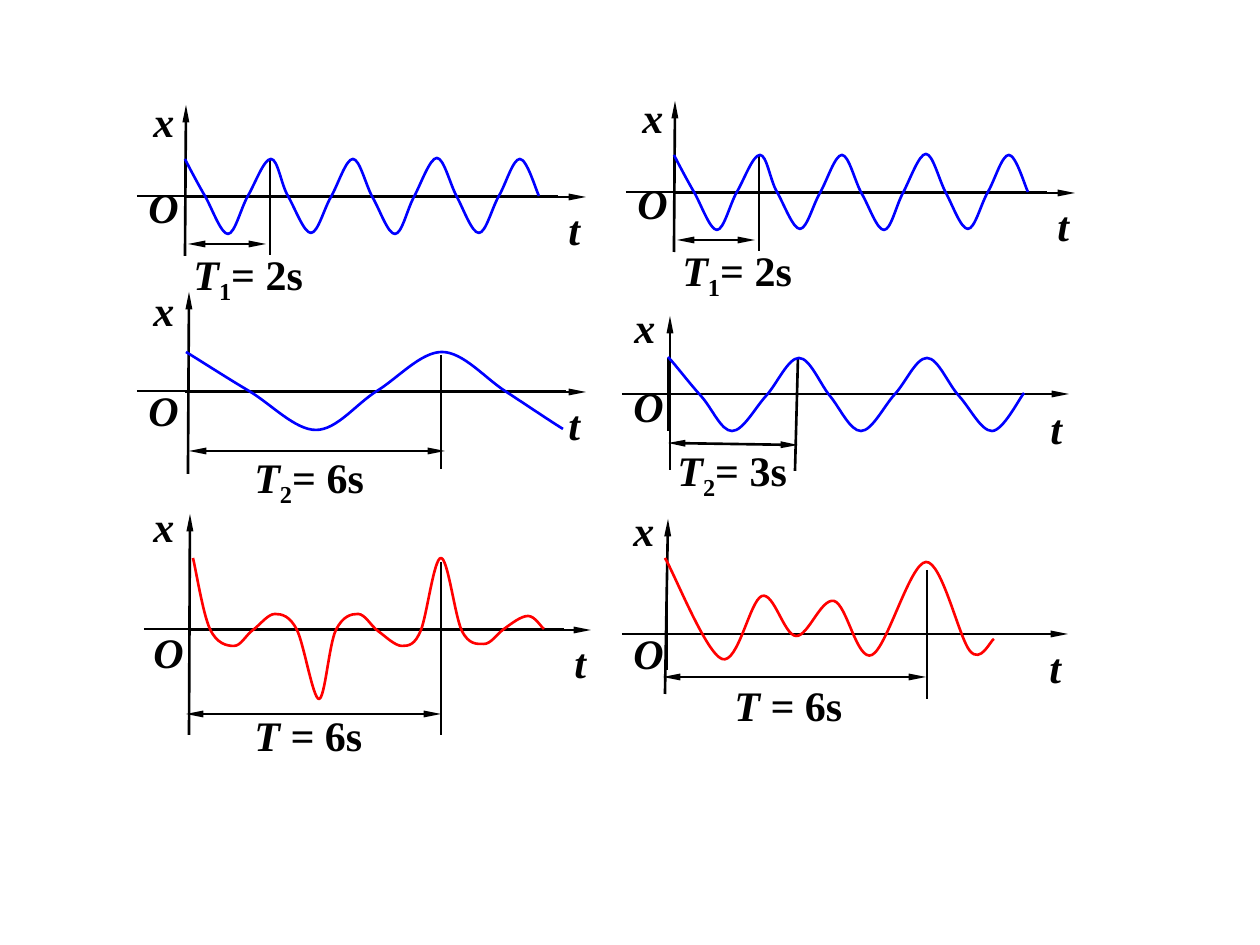
from dataclasses import dataclass
from itertools import chain
from lxml.etree import SubElement
from pptx import Presentation
from pptx.dml.color import RGBColor
from pptx.enum.shapes import MSO_CONNECTOR
from pptx.enum.text import MSO_AUTO_SIZE
from pptx.oxml.ns import qn
from pptx.util import Pt


@dataclass(frozen=True)
class Theme:
    ink: str = "000000"
    wave: str = "0000FF"
    total: str = "FF0000"
    font: str = "Times New Roman"
    size: int = 24
    thick: float = 1.5
    thin: float = 0.75


THEME = Theme()
EMU = 914400 / 126
SLIDE_W, SLIDE_H = 1260, 945
AXIS, LABEL_H = 401, 63
X_W, O_W, T_W, CAPTION_W = 47, 55, 37, 137

FAST = dict(
    color=THEME.wave, period=("T", "1", "= 2s"), y_axis=((0, 59), (1, -92)),
    x=(-44, -108), o=(-49, -22), t=(371, 0), thin=(-48, 373, -1), start=(-38, 36),
    marker=((85, -38), (85, 58)), span=((3, 47), (81, 47)), caption=(-4, 45),
    curve=[(0, -38), (20, -1), (43, 37), (63, -1), (86, -38), (103, -1),
           (126, 36), (146, 0), (168, -38), (188, 1), (210, 37), (229, 0),
           (252, -39), (272, 0), (294, 36), (314, -1), (335, -38), (354, -1)])
SLOW = dict(
    color=THEME.wave, period=("T", "2", "= 6s"), y_axis=((3, 82), (4, -100)),
    x=(-44, -114), o=(-49, -14), t=(371, 0), thin=(-48, 381, -1), start=None,
    marker=((256, -37), (256, 77)), span=((4, 59), (260, 59)), caption=(57, 53),
    curve=[(1, -40), (64, -1), (131, 38), (192, -1), (257, -40), (320, -1), (378, 37)])
SUM_LEFT = dict(
    color=THEME.total, period=("T = ", "", "6s"), y_axis=((-1, 105), (0, -116)),
    x=(-49, -136), o=(-49, -10), t=(372, 0), thin=(-46, 374, -1), start=None,
    marker=((251, -68), (251, 105)), span=((-4, 84), (251, 84)), caption=(52, 73),
    curve=[(3, -72), (20, -1), (44, 16), (63, 0), (85, -16), (107, 0),
           (129, 69), (146, 0), (168, -16), (188, 1), (212, 16), (231, 0),
           (251, -72), (272, 1), (294, 14), (314, -1), (338, -14), (354, -1)])
MEDIUM = dict(
    color=THEME.wave, period=("T", "2", "= 3s"), y_axis=((2, 76), (2, -78)),
    x=(-46, -99), o=(-47, -20), t=(370, 2), thin=(-46, 373, 0), start=(-36, 37),
    marker=((130, -36), (127, 77)), span=((0, 49), (130, 51)), caption=(-3, 44),
    curve=[(0, -37), (33, 2), (64, 37), (98, 2), (131, -36), (162, 2),
           (193, 37), (227, 0), (259, -36), (291, 2), (324, 37), (356, -1)])
SUM_RIGHT = dict(
    color=THEME.total, period=("T = ", "", "6s"), y_axis=((-2, 60), (1, -115)),
    x=(-46, -136), o=(-46, -13), t=(370, 1), thin=(-45, 373, 0), start=(-37, 36),
    marker=((260, -64), (260, 65)), span=((-4, 43), (259, 43)), caption=(55, 39),
    curve=[(-2, -76), (55, 25), (95, -38), (129, 2), (167, -33), (205, 21),
           (259, -72), (303, 17), (327, 5)])

PLOTS = [((185, 392), SLOW), ((190, 630), SUM_LEFT), ((674, 193), FAST),
         ((668, 394), MEDIUM), ((667, 634), SUM_RIGHT), ((185, 197), FAST)]


def px(*values):
    return [round(v * EMU) for v in values]


def style_line(line, color, width):
    line.color.rgb = RGBColor.from_string(color)
    line.width = Pt(width)


def add_line(shapes, origin, start, end, width=THEME.thick, heads=()):
    ox, oy = origin
    c = shapes.add_connector(MSO_CONNECTOR.STRAIGHT, *px(
        ox + start[0], oy + start[1], ox + end[0], oy + end[1]))
    style_line(c.line, THEME.ink, width)
    for head in heads:
        SubElement(c.line._get_or_add_ln(), qn(f"a:{head}"), type="triangle", w="sm", len="lg")
    SubElement(c._element.spPr, qn("a:effectLst"))


def add_label(shapes, origin, at, width, italic, sub="", upright=""):
    s = shapes.add_textbox(*px(origin[0] + at[0], origin[1] + at[1], width, LABEL_H))
    tf = s.text_frame
    tf.word_wrap = False
    tf.auto_size = MSO_AUTO_SIZE.SHAPE_TO_FIT_TEXT
    p = tf.paragraphs[0]
    for text in filter(None, (italic, sub, upright)):
        r = p.add_run()
        r.text = text
        f = r.font
        f.name, f.size, f.bold = THEME.font, Pt(THEME.size), True
        f.italic = text == italic
        f.color.rgb = RGBColor.from_string(THEME.ink)
        if text == sub:
            r._r.get_or_add_rPr().set("baseline", "-25000")


def add_curve(shapes, origin, points, color):
    pts = [(origin[0] + x, origin[1] + y) for x, y in points]
    fb = shapes.build_freeform(*pts[0], scale=EMU)
    fb.add_line_segments(pts[1:], close=False)
    s = fb.convert_to_shape()
    s.shadow.inherit = False
    s.fill.background()
    style_line(s.line, color, THEME.thick)
    path = s._element.find(".//" + qn("a:path"))
    knots = [(int(k.get("x")), int(k.get("y"))) for k in path.iter(qn("a:pt"))]
    ends = [knots[0], *knots, knots[-1]]
    slopes = [((c[0] - a[0]) / 6, (c[1] - a[1]) / 6) for a, c in zip(ends, ends[2:])]
    for seg in path.findall(qn("a:lnTo")):
        path.remove(seg)
    for (x0, y0), (x1, y1), (u0, v0), (u1, v1) in zip(knots, knots[1:], slopes, slopes[1:]):
        bez = SubElement(path, qn("a:cubicBezTo"))
        for x, y in ((x0 + u0, y0 + v0), (x1 - u1, y1 - v1), (x1, y1)):
            SubElement(bez, qn("a:pt"), x=str(round(x)), y=str(round(y)))


def add_plot(shapes, origin, plot):
    add_line(shapes, origin, (0, 0), (AXIS, 0), heads=["tailEnd"])
    add_line(shapes, origin, *plot["y_axis"], heads=["tailEnd"])
    for name, width in (("t", T_W), ("x", X_W), ("o", O_W)):
        add_label(shapes, origin, plot[name], width, name.upper() if name == "o" else name)
    left, right, y = plot["thin"]
    add_line(shapes, origin, (left, y), (right, y), THEME.thin)
    if plot["start"]:
        top, bottom = plot["start"]
        add_line(shapes, origin, (0, top), (0, bottom), THEME.thin)
    add_line(shapes, origin, *plot["marker"])
    add_curve(shapes, origin, plot["curve"], plot["color"])
    add_line(shapes, origin, *plot["span"], heads=["headEnd", "tailEnd"])
    add_label(shapes, origin, plot["caption"], CAPTION_W, *plot["period"])


def main():
    prs = Presentation()
    prs.slide_width, prs.slide_height = px(SLIDE_W, SLIDE_H)
    slide = prs.slides.add_slide(prs.slide_layouts[6])
    for origin, plot in PLOTS:
        add_plot(slide.shapes.add_group_shape().shapes, origin, plot)
    prs.save("out.pptx")


if __name__ == "__main__":
    main()
